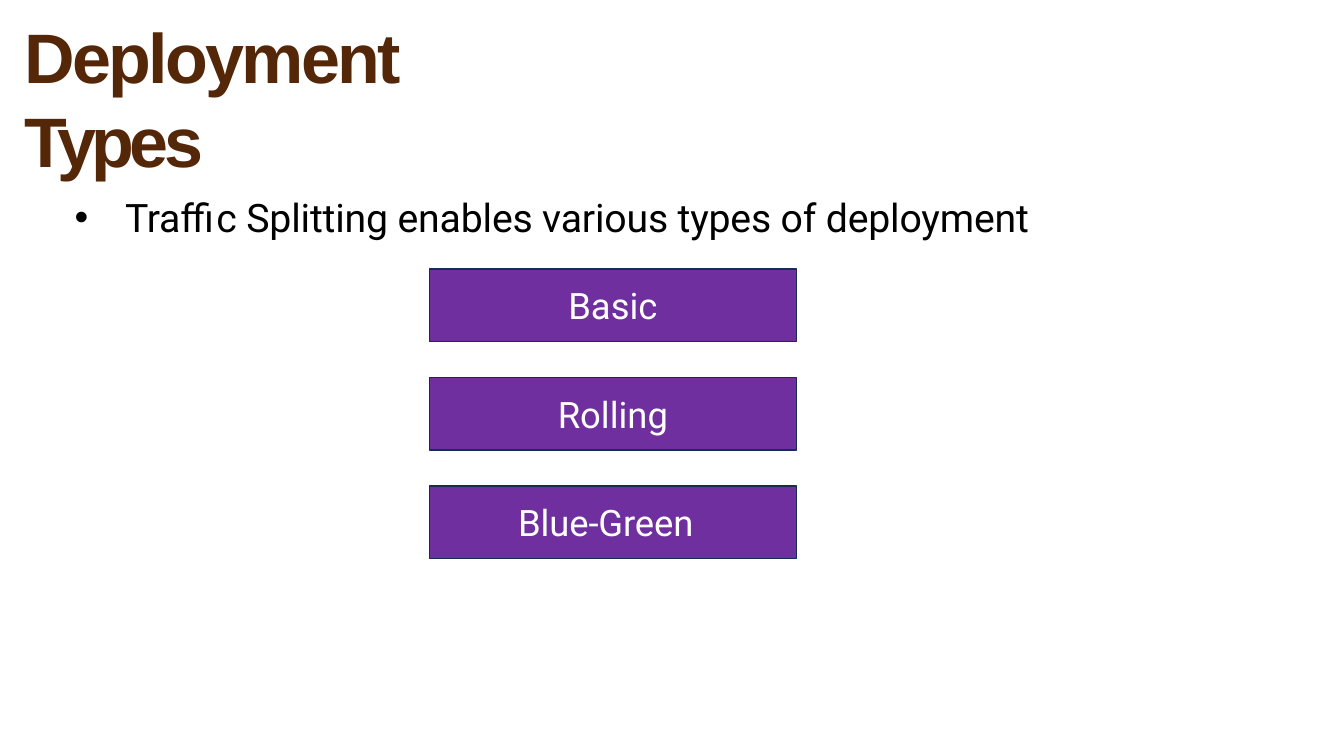
"""Build the Deployment Types slide."""
from pptx import Presentation
from pptx.dml.color import RGBColor
from pptx.enum import shapes, text
from pptx.util import Inches, Pt

HUES = {"title": "532708", "body": "000000", "fill": "6F2F9F",
        "edge": "172C51", "label": "FFFFFF"}


def frame(shape, top, before, left=0, hang=0):
    box = shape.text_frame
    box.word_wrap = True
    box.auto_size = text.MSO_AUTO_SIZE.SHAPE_TO_FIT_TEXT
    box.vertical_anchor = text.MSO_ANCHOR.TOP
    box.margin_left = box.margin_right = box.margin_bottom = 0
    box.margin_top = Inches(top)
    para = box.paragraphs[0]
    para.alignment = text.PP_ALIGN.LEFT
    para.space_before = Pt(before)
    props = para._p.get_or_add_pPr()
    props.set("marL", str(Inches(left)))
    props.set("indent", str(Inches(hang)))
    return para


def write(para, words, size, face, hue, gap=0, bold=False):
    run = para.add_run()
    run.text = words
    run.font.size = Pt(size)
    run.font.name = face
    run.font.bold = bold
    run.font.color.rgb = RGBColor.from_string(HUES[hue])
    run._r.get_or_add_rPr().set("spc", str(round(gap * 100)))


deck = Presentation()
deck.slide_width, deck.slide_height = Inches(13.33), Inches(7.5)
slide = deck.slides.add_slide(deck.slide_layouts[1])

title = slide.shapes.title
title.left, title.top = Inches(0.23), Inches(0.12)
title.width, title.height = Inches(5.6), Inches(0.86)
para = frame(title, 0.01, 1, 0.01)
for words, gap in (("Deployment ", -1.9), ("Types", -3.3)):
    write(para, words, 50, "Arial", "title", gap, True)

body = slide.placeholders[1]
body.left, body.top = Inches(0.73), Inches(1.91)
body.width, body.height = Inches(9.6), Inches(0.49)
para = frame(body, 0.01, 0.9, 0.51, -0.5)
write(para, "Traffic Splitting enables various types of deployment",
      28, "Roboto", "body", -0.1)

kinds = (("Basic", 0, 0), ("Rolling", 0, 0), ("Blue-Green", 0.88, -0.1))
for row, (name, left, gap) in enumerate(kinds):
    rect = slide.shapes.add_shape(
        shapes.MSO_SHAPE.RECTANGLE, Inches(4.26), Inches(2.67 + row * 1.075),
        Inches(3.64), Inches(0.72))
    rect.shadow.inherit = False
    rect.fill.solid()
    rect.fill.fore_color.rgb = RGBColor.from_string(HUES["fill"])
    rect.line.color.rgb = RGBColor.from_string(HUES["edge"])
    rect.line.width = Pt(1)
    para = frame(rect, 0.14, 10.3, left)
    if not left:
        para.alignment = text.PP_ALIGN.CENTER
    write(para, name, 26, "Roboto", "label", gap)

deck.save("out.pptx")
